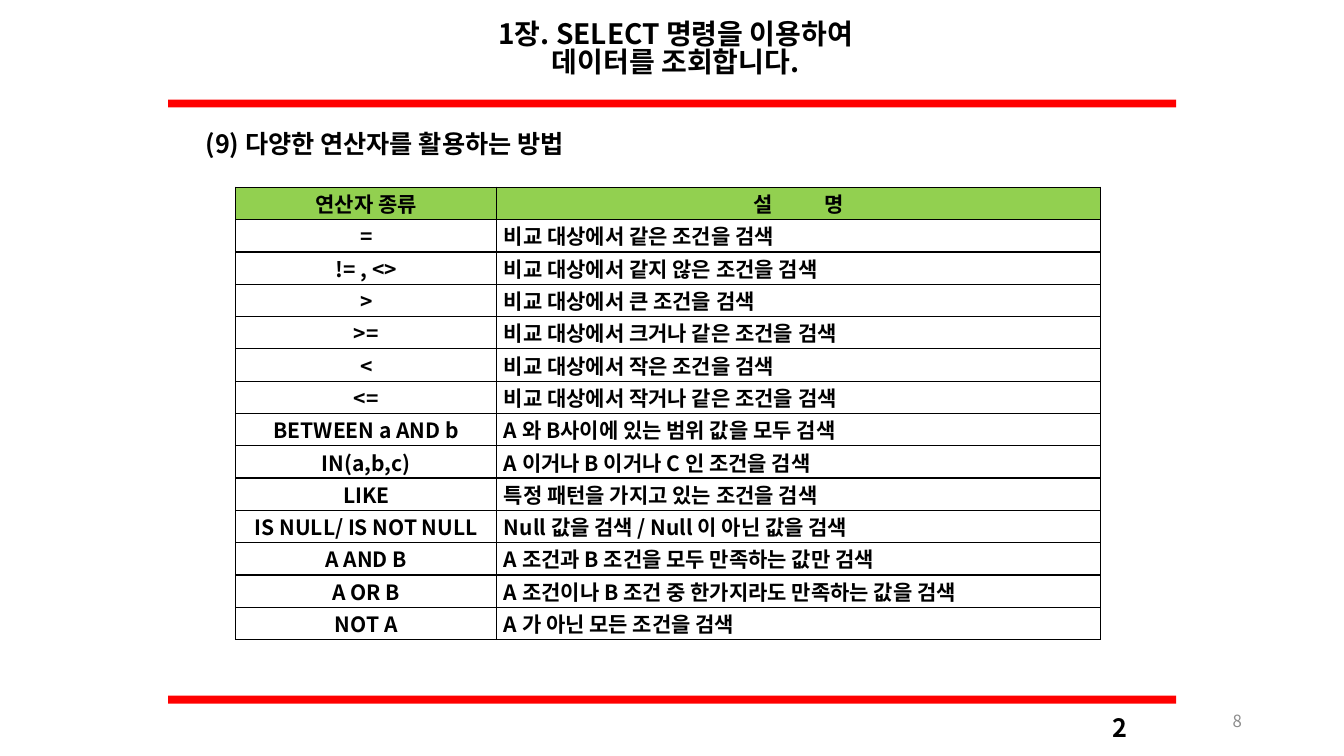
from lxml import etree
from pptx import Presentation
from pptx.dml.color import RGBColor
from pptx.enum.shapes import MSO_SHAPE
from pptx.enum.text import MSO_ANCHOR, PP_ALIGN
from pptx.oxml.ns import qn
from pptx.util import Cm, Pt

LEFT, MID = PP_ALIGN.LEFT, PP_ALIGN.CENTER
RIGHT, FULL = PP_ALIGN.RIGHT, PP_ALIGN.JUSTIFY
CENTER = MSO_ANCHOR.MIDDLE
FONT = "Noto Sans CJK KR"

TITLE = ["1장. SELECT 명령을 이용하여", "데이터를 조회합니다."]
HEADING = "(9) 다양한 연산자를 활용하는 방법"
HEAD = [["연산자 종류"], ["설 ", "명"]]
ROWS = [
    ("=", "비교 대상에서 같은 조건을 검색"),
    ("!= , <>", "비교 대상에서 같지 않은 조건을 검색"),
    (">", "비교 대상에서 큰 조건을 검색"),
    (">=", "비교 대상에서 크거나 같은 조건을 검색"),
    ("<", "비교 대상에서 작은 조건을 검색"),
    ("<=", "비교 대상에서 작거나 같은 조건을 검색"),
    ("BETWEEN a AND b", "A 와 B사이에 있는 범위 값을 모두 검색"),
    ("IN(a,b,c)", "A 이거나 B 이거나 C 인 조건을 검색"),
    ("LIKE", "특정 패턴을 가지고 있는 조건을 검색"),
    ("IS NULL/ IS NOT NULL", "Null 값을 검색 / Null 이 아닌 값을 검색"),
    ("A AND B", "A 조건과 B 조건을 모두 만족하는 값만 검색"),
    ("A OR B", "A 조건이나 B 조건 중 한가지라도 만족하는 값을 검색"),
    ("NOT A", "A 가 아닌 모든 조건을 검색"),
]
BARS = [2.51, 17.53]
# text, box in cm, size, colour, bold, alignment
LABELS = [
    (HEADING, (4.93, 2.92, 16, 1.4), 18, "000000", True, LEFT),
    ("2", (27.33, 17.93, 1.8, 0.79), 18, "000000", True, MID),
    ("8", (23.93, 17.65, 7.62, 1.02), 12, "8C8C8C", False, RIGHT),
]
COLS = [6.58, 15.21]
HIGH = 11.4


def paint(color, hue):
    color.rgb = RGBColor.from_string(hue)


def write(para, text, size, hue="000000", bold=True):
    run = para.add_run()
    run.text = text
    font = run.font
    font.size, font.bold, font.name = Pt(size), bold, FONT
    paint(font.color, hue)
    etree.SubElement(run._r.get_or_add_rPr(), qn("a:ea"), typeface=FONT)
    return run


def edge(cell):
    """Draw a thin black line on all four sides, ahead of the fill."""
    props = cell._tc.get_or_add_tcPr()
    for spot, side in enumerate(("lnL", "lnR", "lnT", "lnB")):
        line = etree.Element(qn("a:" + side), w=str(Pt(1)))
        fill = etree.SubElement(line, qn("a:solidFill"))
        etree.SubElement(fill, qn("a:srgbClr"), val="000000")
        props.insert(spot, line)


def add_bar(slide, top):
    bar = slide.shapes.add_shape(
        MSO_SHAPE.RECTANGLE, Cm(4.24), Cm(top), Cm(25.4), Cm(0.2))
    bar.shadow.inherit = False
    bar.fill.solid()
    paint(bar.fill.fore_color, "FF0000")
    bar.line.fill.background()


def add_title(slide):
    title = slide.shapes.title
    title.left, title.top = Cm(8.53), Cm(0)
    title.width, title.height = Cm(17), Cm(2.51)
    frame = title.text_frame
    frame.vertical_anchor = CENTER
    for num, text in enumerate(TITLE):
        para = frame.add_paragraph() if num else frame.paragraphs[0]
        para.alignment, para.line_spacing = MID, 0.84
        write(para, text, 20)


def add_label(slide, text, box, size, hue, bold, align):
    frame = slide.shapes.add_textbox(*map(Cm, box)).text_frame
    frame.word_wrap = True
    frame.vertical_anchor = CENTER
    para = frame.paragraphs[0]
    para.alignment = align
    write(para, text, size, hue, bold)


def add_grid(slide):
    count = len(ROWS) + 1
    grid = slide.shapes.add_table(
        count, len(COLS), Cm(5.94), Cm(4.72), Cm(sum(COLS)), Cm(HIGH)).table
    for col, wide in zip(grid.columns, COLS):
        col.width = Cm(wide)
    for row in grid.rows:
        row.height = Cm(HIGH / count)
    cells = [HEAD] + [[[text] for text in row] for row in ROWS]
    for r, row in enumerate(cells):
        for c, parts in enumerate(row):
            cell = grid.cell(r, c)
            cell.margin_left = cell.margin_right = Cm(0.18)
            cell.margin_top = cell.margin_bottom = 0
            cell.vertical_anchor = CENTER
            if r:
                cell.fill.background()
            else:
                cell.fill.solid()
                paint(cell.fill.fore_color, "92D050")
            edge(cell)
            para = cell.text_frame.paragraphs[0]
            para.alignment = FULL if r and c else MID
            runs = [write(para, part, 15) for part in parts]
            for run in runs[:-1]:  # letter spacing widens the gap
                run._r.get_or_add_rPr().set("spc", "1700")


def main():
    deck = Presentation()
    deck.slide_width, deck.slide_height = Cm(33.87), Cm(19.05)
    slide = deck.slides.add_slide(deck.slide_layouts[5])
    for top in BARS:
        add_bar(slide, top)
    add_title(slide)
    for label in LABELS:
        add_label(slide, *label)
    add_grid(slide)
    deck.save("out.pptx")


if __name__ == "__main__":
    main()
